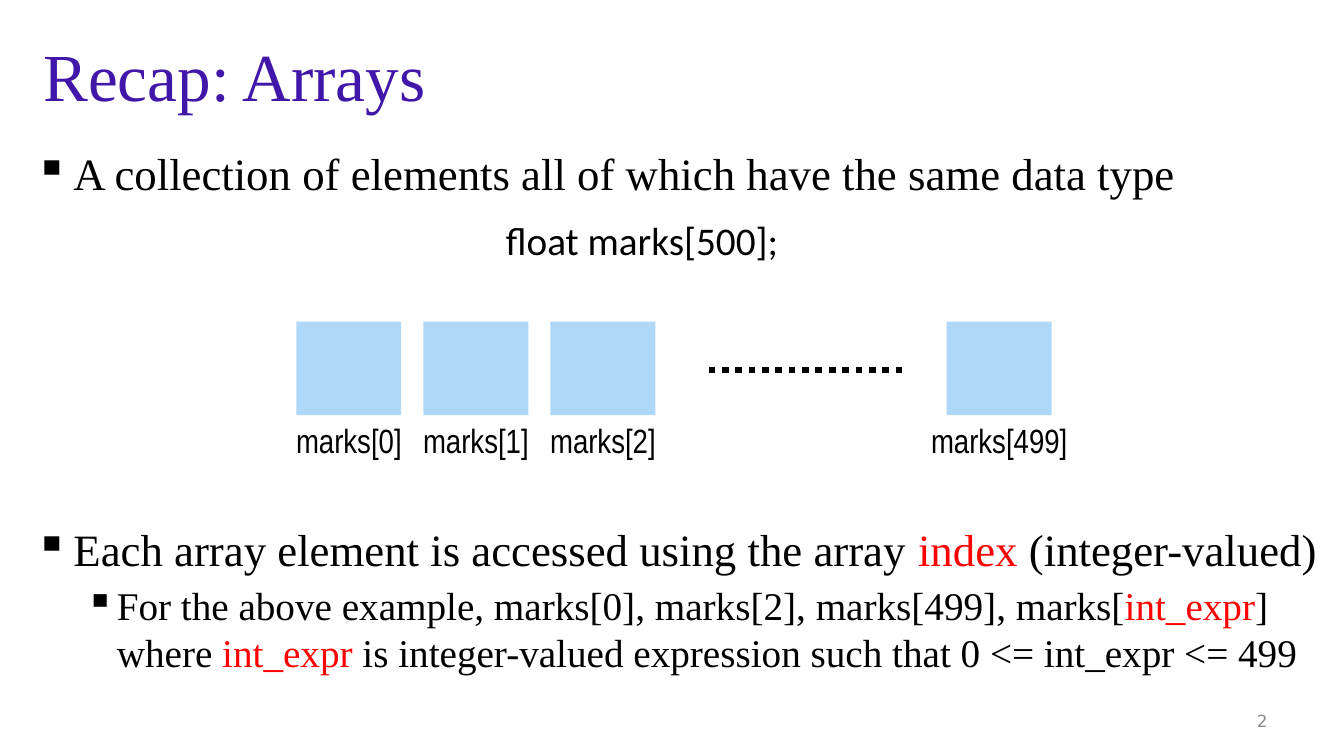
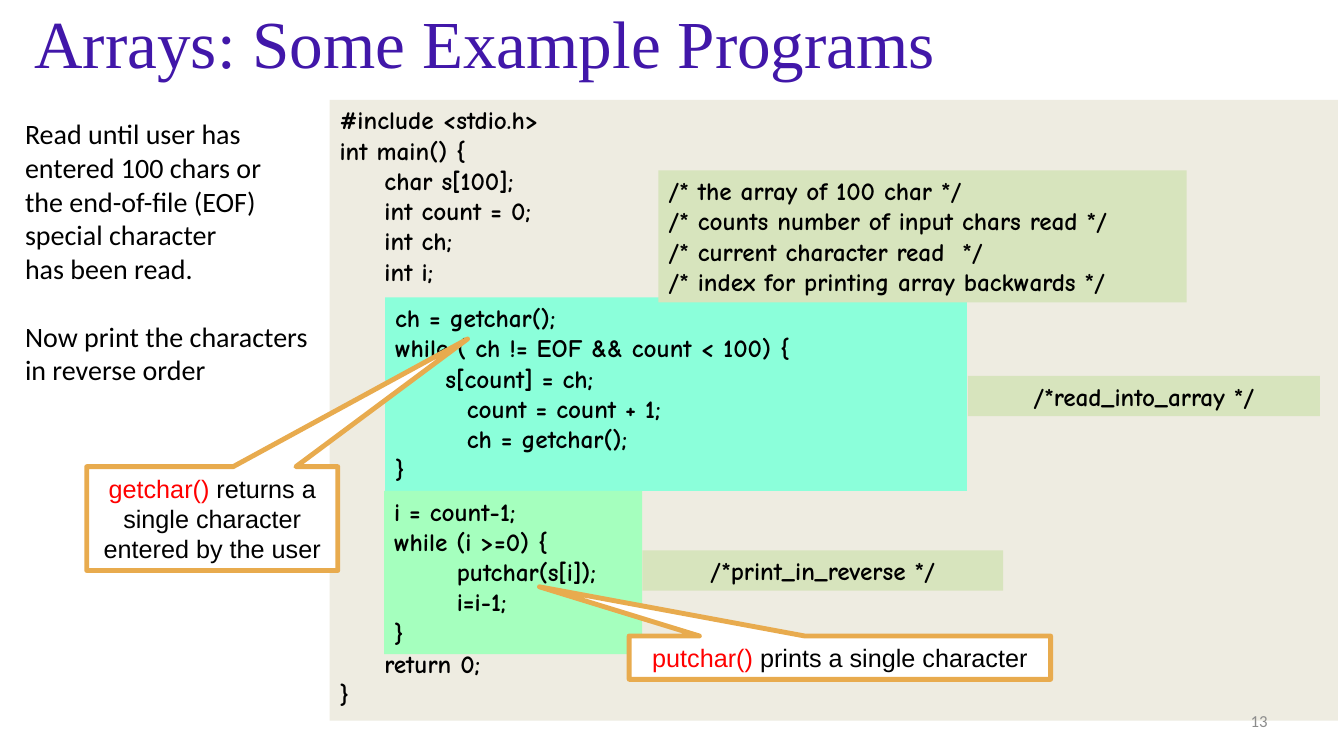
import pptx
import pptx.util
import pptx.dml.color
import pptx.enum.dml
import pptx.enum.shapes
import pptx.enum.text
import pptx.oxml.ns
import lxml.etree

Inches, Pt = pptx.util.Inches, pptx.util.Pt
KIND = pptx.enum.shapes.MSO_SHAPE
ALIGN = pptx.enum.text.PP_ALIGN
ANCHOR = pptx.enum.text.MSO_ANCHOR
qn = pptx.oxml.ns.qn

# Shared look
HUES = {
    "title": "4117A9", "ink": "000000", "red": "FF0000", "grey": "8C8C8C",
    "cell": "60B1F2", "sand": "EEECE1", "aqua": "8BFFDA", "mint": "A5FFBE",
    "note": "D7E4BD", "white": "FFFFFF", "gold": "E8AB4E",
}
FONTS = {
    "title": {"name": "Times New Roman", "size": Pt(48)},
    "point": {"name": "Times New Roman", "size": Pt(32)},
    "sub": {"name": "Times New Roman", "size": Pt(28)},
    "decl": {"name": "Calibri", "size": Pt(28)},
    "label": {"name": "Arial Narrow", "size": Pt(24)},
    "aside": {"name": "Calibri", "size": Pt(20)},
    "code": {"name": "Comic Neue", "size": Pt(18), "bold": True},
    "call": {"name": "Arial", "size": Pt(18)},
}

# Recap slide: a line is a string or a list of (text, hue) runs
TOP = "A collection of elements all of which have the same data type"
INDEX = [("Each array element is accessed using the array ", "ink"),
         ("index", "red"), (" (integer-valued)", "ink")]
RANGE = [("For the above example, marks[0], marks[2], marks[499], marks[", "ink"),
         ("int_expr", "red"), ("] where ", "ink"), ("int_expr ", "red"),
         ("is integer-valued expression such that 0 <= int_expr <= 499", "ink")]
DECL = "float marks[500];"
START, STEP, SIDE, HIGH, ROW = 2.94, 1.26, 1.04, 0.93, 3.19
CELLS = [(f"marks[{i}]", START + i * STEP) for i in range(3)]
CELLS.append(("marks[499]", 9.39))

# Program slide
TASK = ["Read until user has", "entered 100 chars or", "the end-of-file (EOF)",
        "special character", "has been read.",
        "Now print the characters", "in reverse order"]
MAIN = ["#include <stdio.h>", "int main() {", "     char s[100];",
        "     int count = 0;", "     int ch;", "     int i;",
        "     return 0;", "}"]
READ = ["ch = getchar();", "while ( ch != EOF && count < 100) {",
        "\ts[count] = ch;", "        count = count + 1;",
        "        ch = getchar();", "}"]
PRINT = ["i = count-1;", "while (i >=0) {", "       putchar(s[i]);",
         "       i=i-1;", "}"]
VARS = ["/* the array of 100 char */",
        "/* counts number of input chars read */",
        "/* current character read  */",
        "/* index for printing array backwards */"]

# Box, hue, lines, alignment, gaps before lines in points
BLOCKS = [
    ((3.27, 0.99, 10, 6.16), "sand", MAIN, ALIGN.LEFT, {6: 258.5}),
    ((3.82, 2.95, 5.77, 1.92), "aqua", READ, ALIGN.LEFT, {}),
    ((3.81, 4.87, 2.56, 1.62), "mint", PRINT, ALIGN.LEFT, {}),
    ((6.37, 5.46, 3.58, 0.4), "note", ["/*print_in_reverse */"], ALIGN.CENTER, {}),
    ((9.6, 3.73, 3.49, 0.4), "note", ["/*read_into_array */"], ALIGN.CENTER, {}),
    ((6.53, 1.69, 5.24, 1.31), "note", VARS, ALIGN.LEFT, {}),
]
# Box, pointer tip, runs
CALLS = [
    ((0.86, 4.63, 2.49, 1.03), (1.017, -1.73),
     [("getchar() ", "red"),
      ("returns a single character entered by the user", "ink")]),
    ((6.24, 6.31, 4.18, 0.43), (-0.713, -1.635),
     [("putchar() ", "red"), ("prints a single character", "ink")]),
]


def rgb(hue):
    return pptx.dml.color.RGBColor.from_string(HUES[hue])


def style(item, vals):
    for key, val in vals.items():
        setattr(item, key, val)


def place(box):
    return [Inches(round(v, 2)) for v in box]


def write(frame, lines, look, hue="ink", align=ALIGN.LEFT,
          anchor=ANCHOR.TOP, gaps=None):
    style(frame, {"word_wrap": True, "vertical_anchor": anchor})
    for i, line in enumerate(lines):
        para = frame.paragraphs[0] if i == 0 else frame.add_paragraph()
        para.alignment = align
        if gaps and i in gaps:
            para.space_before = Pt(gaps[i])
        for text, tint in [(line, hue)] if isinstance(line, str) else line:
            run = para.add_run()
            run.text = text
            style(run.font, FONTS[look])
            run.font.color.rgb = rgb(tint)


def label(slide, box, lines, look, **opts):
    frame = slide.shapes.add_textbox(*place(box)).text_frame
    write(frame, lines, look, **opts)
    return frame


def shape(slide, box, hue, kind=KIND.RECTANGLE):
    item = slide.shapes.add_shape(kind, *place(box))
    item.shadow.inherit = False
    item.fill.solid()
    item.fill.fore_color.rgb = rgb(hue)
    item.line.fill.background()
    return item


def bullet(para, left, hang):
    props = para._p.get_or_add_pPr()
    props.set("marL", str(Inches(left)))
    props.set("indent", str(-Inches(hang)))
    lxml.etree.SubElement(props, qn("a:buChar")).set("char", "▪")


def begin(deck, title, box, num, face):
    slide = deck.slides.add_slide(deck.slide_layouts[5])
    head = slide.shapes.title
    style(head, dict(zip(("left", "top", "width", "height"), place(box))))
    write(head.text_frame, [title], "title", "title", anchor=ANCHOR.MIDDLE)
    FONTS["page"] = {"name": face, "size": Pt(12)}
    return slide, lambda: label(slide, (9.56, 6.95, 3.11, 0.4), [num], "page",
                                hue="grey", align=ALIGN.RIGHT,
                                anchor=ANCHOR.MIDDLE)


def recap(deck):
    slide, page = begin(deck, "Recap: Arrays", (0.33, 0.33, 12, 0.83),
                        "2", "DejaVu Sans")
    # Bulleted text
    first = label(slide, (0.25, 1.4, 13.01, 0.6), [TOP], "point")
    bullet(first.paragraphs[0], 0.38, 0.38)
    last = label(slide, (0.25, 5.13, 13.01, 0.6), [INDEX], "point")
    bullet(last.paragraphs[0], 0.38, 0.38)
    sub = label(slide, (0.25, 5.72, 13.01, 1.05), [RANGE], "sub")
    bullet(sub.paragraphs[0], 0.81, 0.31)
    label(slide, (4.92, 2.1, 3.2, 0.57), [DECL], "decl")
    # Array cells with centred names
    for name, left in CELLS:
        cell = shape(slide, (left, ROW, SIDE, HIGH), "cell")
        tint = cell.fill._xPr.find(".//" + qn("a:srgbClr"))
        lxml.etree.SubElement(tint, qn("a:alpha")).set("val", "50000")
        wide = 1.64
        label(slide, (left + (SIDE - wide) / 2, ROW + HIGH, wide, 0.5),
              [name], "label", align=ALIGN.CENTER)
    # Dots for the cells left out
    dots = slide.shapes.add_connector(
        pptx.enum.shapes.MSO_CONNECTOR.STRAIGHT, *place((7.03, 3.67, 8.99, 3.67)))
    dots.line.color.rgb = rgb("ink")
    style(dots.line, {"width": Pt(4.75),
                      "dash_style": pptx.enum.dml.MSO_LINE.ROUND_DOT})
    lxml.etree.SubElement(dots._element.spPr, qn("a:effectLst"))
    page()


def program(deck):
    slide, page = begin(deck, "Arrays: Some Example Programs",
                        (0.24, 0, 12, 0.83), "13", "Calibri")
    # Code and its comments
    for box, hue, lines, align, gaps in BLOCKS:
        write(shape(slide, box, hue).text_frame, lines, "code",
              align=align, gaps=gaps)
    label(slide, (0.15, 1.11, 3.1, 2.79), TASK, "aside", gaps={5: 24.4})
    # Callouts
    for box, tip, runs in CALLS:
        call = shape(slide, box, "white", KIND.RECTANGULAR_CALLOUT)
        for i, val in enumerate(tip):
            call.adjustments[i] = val
        call.line.color.rgb = rgb("gold")
        call.line.width = Pt(3.5)
        write(call.text_frame, [runs], "call", align=ALIGN.CENTER,
              anchor=ANCHOR.MIDDLE)
    page()


def main():
    deck = pptx.Presentation()
    style(deck, {"slide_width": Inches(13.33), "slide_height": Inches(7.5)})
    recap(deck)
    program(deck)
    deck.save("out.pptx")


if __name__ == "__main__":
    main()
